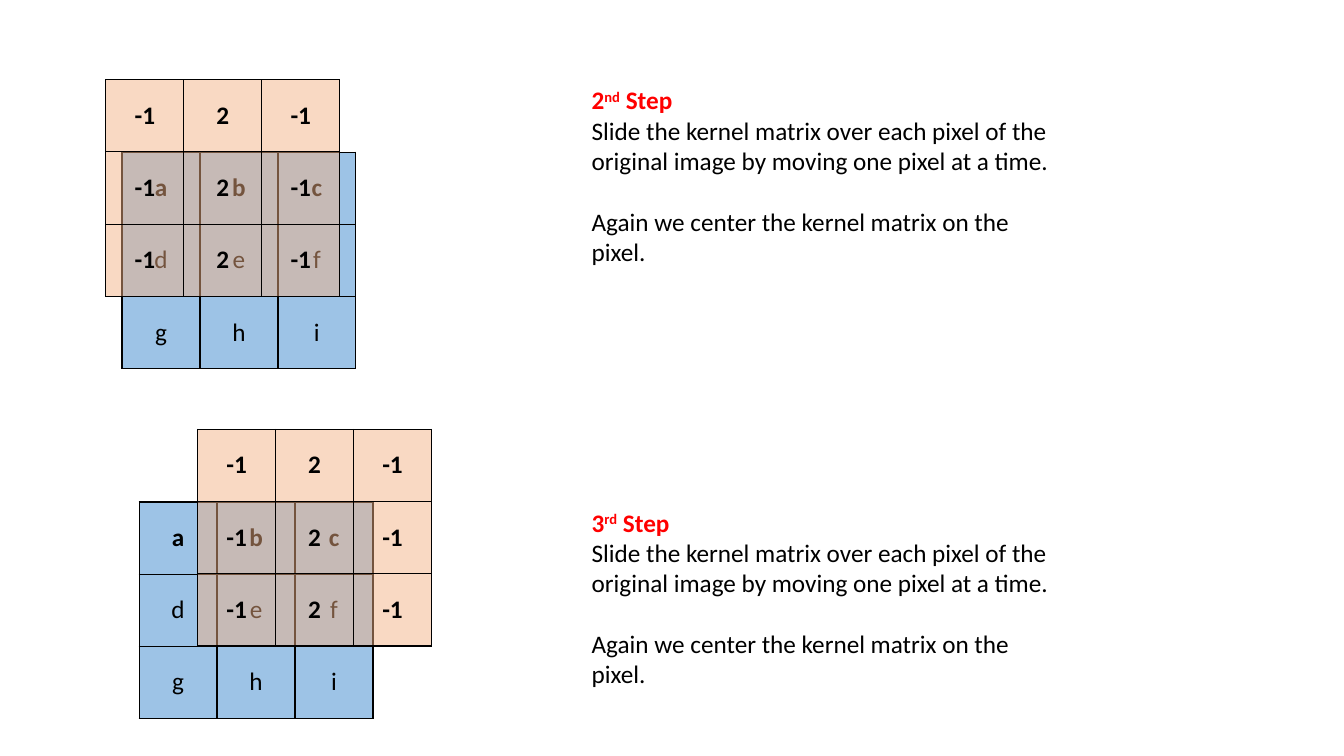
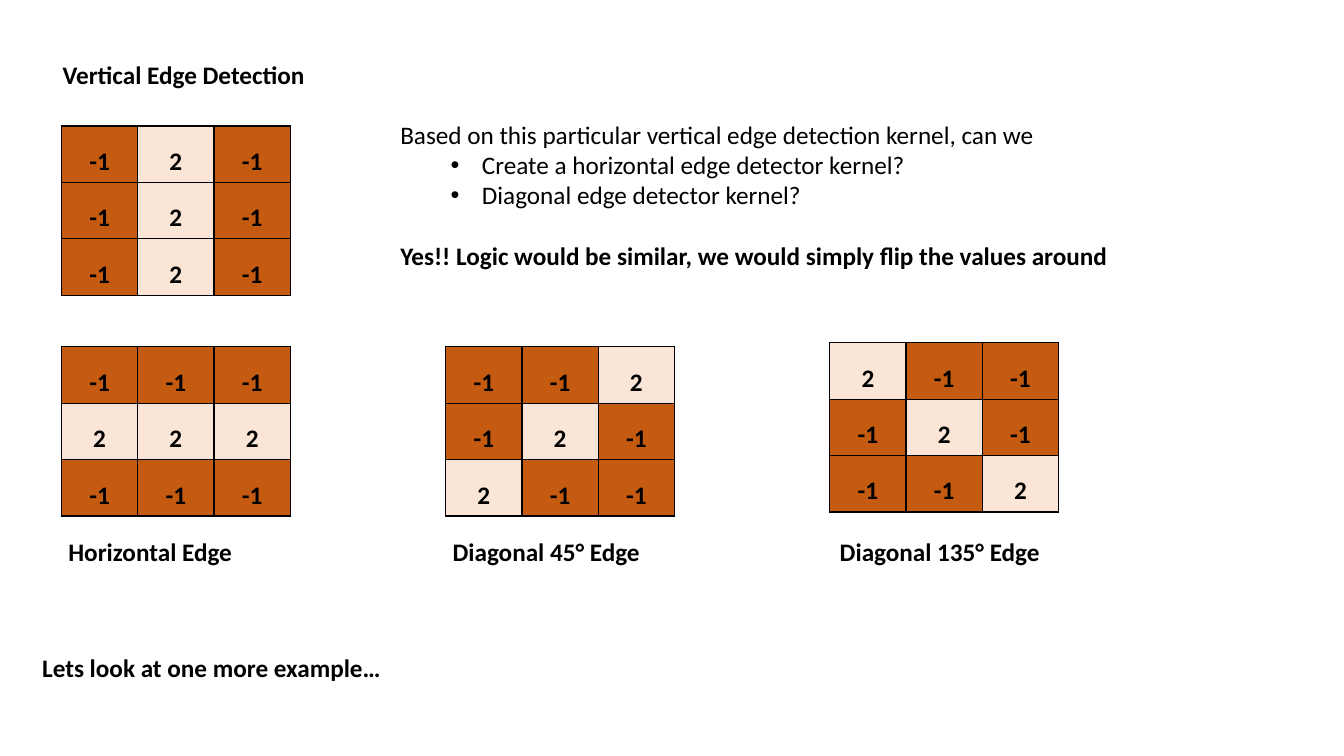
from lxml.etree import SubElement, Element
from pptx import Presentation
from pptx.dml.color import RGBColor
from pptx.enum.text import MSO_ANCHOR, MSO_AUTO_SIZE, PP_ALIGN
from pptx.oxml.ns import qn
from pptx.util import Inches, Pt

# Shared style
FONT, SIZE = "Calibri", 18
LINE = 22  # height of one text line in points
HEX = {"ink": "000000", "red": "FF0000", "pixel": "9DC3E6",
       "kernel": "F4B183", "low": "C55A11", "high": "FBE5D6"}
ALPHA = 48

# Content: steps
PIXELS = ["abc", "def", "ghi"]
VERT = [[-1, 2, -1]] * 3
SLIDE_BY = ("Slide the kernel matrix over each pixel of the original image "
            "by moving one pixel at a time.")
CENTER = "Again we center the kernel matrix on the pixel."
STEPS = [  # number, suffix, pixel corner, kernel corner, text top
    ("2", "nd", (1.21, 1.51), (1.05, 0.79), 0.79),
    ("3", "rd", (1.38, 4.98), (1.96, 4.26), 4.98),
]
STEP_GRID = (2.32, 2.15)

# Content: edge kernels
TITLE = "Vertical Edge Detection"
ASK = "Based on this particular vertical edge detection kernel, can we"
GOALS = ["Create a horizontal edge detector kernel?",
         "Diagonal edge detector kernel?"]
REPLY = "Yes!! Logic would be similar, we would simply flip the values around"
NEXT = "Lets look at one more example…"
EDGES = [  # values, grid corner, label, label left, label width
    (VERT, (0.61, 1.25), None, 0, 0),
    ([[-1] * 3, [2] * 3, [-1] * 3], (0.61, 3.44), "Horizontal Edge", 0.58, 2.57),
    ([[-1, -1, 2], [-1, 2, -1], [2, -1, -1]], (4.42, 3.44),
     "Diagonal 45° Edge", 4.39, 2.96),
    ([[2, -1, -1], [-1, 2, -1], [-1, -1, 2]], (8.23, 3.4),
     "Diagonal 135° Edge", 8.23, 2.88),
]
EDGE_GRID = (2.27, 1.68)


def write(para, text, color="ink", bold=False, raised=False, align=PP_ALIGN.LEFT,
          before=0, spacing=1.0, bullet=False):
    """Add one formatted run and set the format of its paragraph."""
    run = para.add_run()
    run.text = text
    font = run.font
    font.name, font.size, font.bold = FONT, Pt(SIZE), bold
    font.color.rgb = RGBColor.from_string(HEX[color])
    if raised:
        run._r.get_or_add_rPr().set("baseline", "30000")
    para.alignment, para.line_spacing = align, spacing
    para.space_before, para.space_after = Pt(before), Pt(0)
    props = para._p.get_or_add_pPr()
    props.set("marL", str(Inches(0.81 if bullet else 0)))
    props.set("indent", str(Inches(-0.31 if bullet else 0)))
    for tag in ("a:buNone", "a:buChar"):
        for old in props.findall(qn(tag)):
            props.remove(old)
    if bullet:
        SubElement(props, qn("a:buChar"), char="•")
    else:
        SubElement(props, qn("a:buNone"))


def fill_box(shape, box, paras):
    """Place a shape and write paragraphs, each a list of (text, format)."""
    shape.left, shape.top, shape.width, shape.height = map(Inches, box)
    frame = shape.text_frame
    frame.word_wrap, frame.auto_size = True, MSO_AUTO_SIZE.NONE
    frame.vertical_anchor = MSO_ANCHOR.TOP
    for i, runs in enumerate(paras):
        para = frame.add_paragraph() if i else frame.paragraphs[0]
        for text, style in runs:
            write(para, text, **style)


def add_text(slide, box, paras):
    fill_box(slide.shapes.add_textbox(0, 0, 0, 0), box, paras)


def add_border(cell):
    props = cell._tc.get_or_add_tcPr()
    for i, side in enumerate(("lnL", "lnR", "lnT", "lnB")):
        line = Element(qn("a:" + side), w=str(Pt(1)))
        fill = SubElement(line, qn("a:solidFill"))
        SubElement(fill, qn("a:srgbClr"), val=HEX["ink"])
        props.insert(i, line)


def add_grid(slide, rows, spot, size, pick, strong, alpha=None):
    """Draw a matrix; pick(value) names the fill, strong(row) sets bold."""
    table = slide.shapes.add_table(
        len(rows), len(rows[0]), *map(Inches, spot + size)).table
    table.first_row = table.horz_banding = False
    for col in table.columns:
        col.width = Inches(size[0] / len(rows[0]))
    for r, row in enumerate(rows):
        table.rows[r].height = Inches(size[1] / len(rows))
        for c, value in enumerate(row):
            cell = table.cell(r, c)
            cell.fill.solid()
            cell.fill.fore_color.rgb = RGBColor.from_string(HEX[pick(value)])
            if alpha:
                tint = cell._tc.tcPr.find(".//" + qn("a:srgbClr"))
                SubElement(tint, qn("a:alpha"), val=str(alpha * 1000))
            add_border(cell)
            write(cell.text_frame.paragraphs[0], str(value), bold=strong(r),
                  align=PP_ALIGN.CENTER, spacing=1.5)


def build_steps(deck):
    slide = deck.slides.add_slide(deck.slide_layouts[6])
    head = {"color": "red", "bold": True}
    for number, suffix, pixel, kernel, top in STEPS:
        add_grid(slide, PIXELS, pixel, STEP_GRID,
                 lambda v: "pixel", lambda r: r == 0)
        add_grid(slide, VERT, kernel, STEP_GRID,
                 lambda v: "kernel", lambda r: True, ALPHA)
        add_text(slide, (5.77, top, 4.73, 2.52), [
            [(number, head), (suffix, {**head, "raised": True}), (" Step", head)],
            [(SLIDE_BY, {})],
            [(CENTER, {"before": LINE})],
        ])


def build_edges(deck):
    slide = deck.slides.add_slide(deck.slide_layouts[1])
    title, body = slide.placeholders
    bold = {"bold": True}
    fill_box(title, (0.52, 0.54, 11.95, 0.71), [[(TITLE, bold)]])
    fill_box(body, (3.87, 1.13, 7.4, 1.92), [
        [(ASK, {})],
        *[[(goal, {"bullet": True})] for goal in GOALS],
        [(REPLY, {"bold": True, "before": LINE})],
    ])
    for rows, spot, label, left, width in EDGES:
        add_grid(slide, rows, spot, EDGE_GRID,
                 lambda v: "high" if v > 0 else "low", lambda r: True)
        if label:
            add_text(slide, (left, 5.27, width, 0.71), [[(label, bold)]])
    add_text(slide, (0.32, 6.42, 8.46, 0.4), [[(NEXT, bold)]])


def main():
    deck = Presentation()
    deck.slide_width, deck.slide_height = Inches(13.33), Inches(7.5)
    build_steps(deck)
    build_edges(deck)
    deck.save("out.pptx")


if __name__ == "__main__":
    main()
